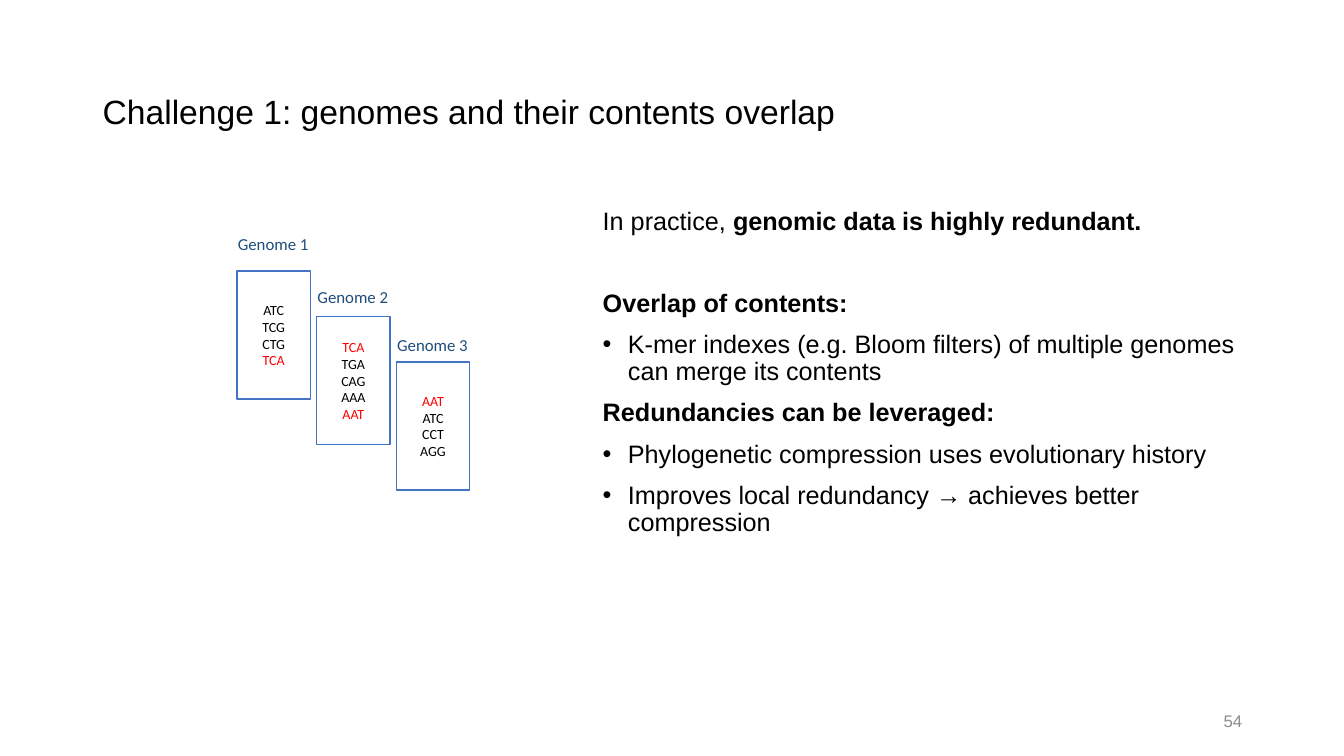
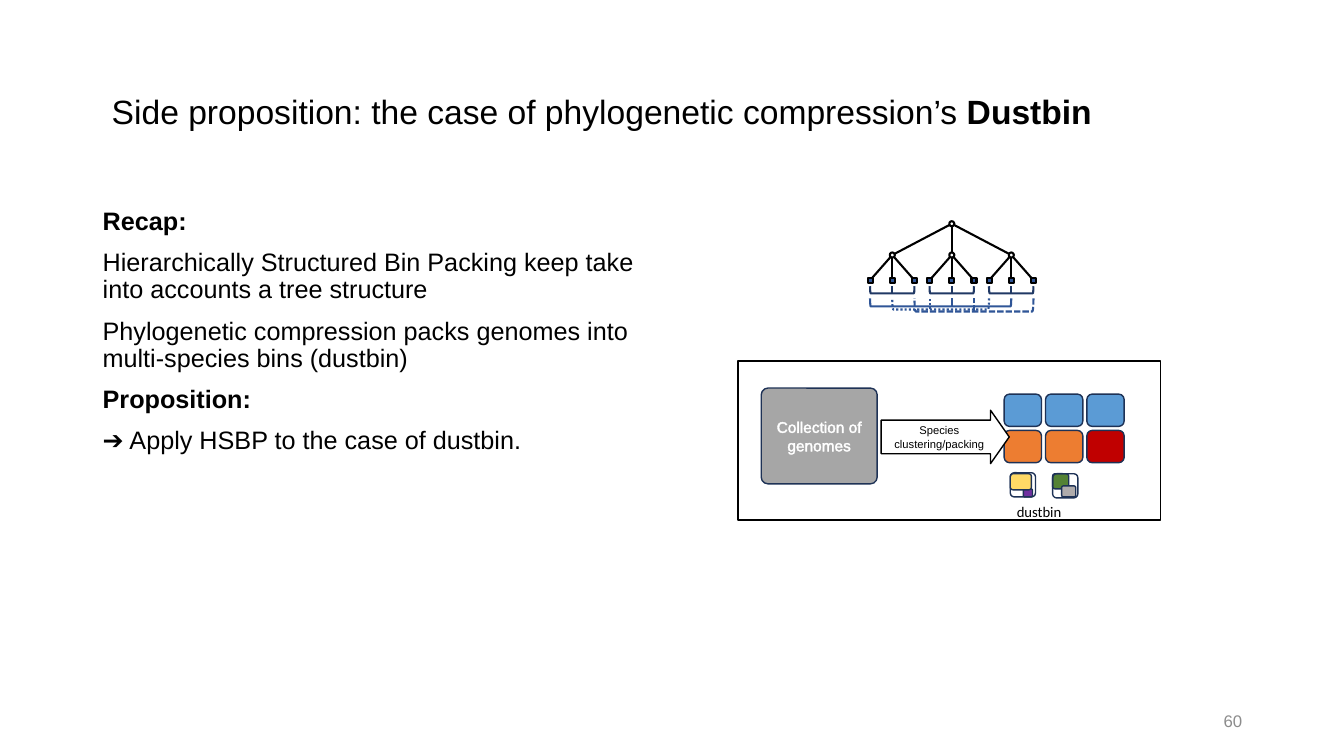
from lxml import etree
from pptx import Presentation
from pptx.dml.color import RGBColor
from pptx.enum.dml import MSO_LINE
from pptx.enum.shapes import MSO_CONNECTOR, MSO_SHAPE
from pptx.enum.text import MSO_ANCHOR, PP_ALIGN
from pptx.oxml.ns import qn
from pptx.util import Inches, Pt

RECT, ROUNDED, ELLIPSE = MSO_SHAPE.RECTANGLE, MSO_SHAPE.ROUNDED_RECTANGLE, MSO_SHAPE.OVAL
ARROW, BRACKET = MSO_SHAPE.RIGHT_ARROW, MSO_SHAPE.LEFT_BRACKET
DOTTED, DASHED = MSO_LINE.ROUND_DOT, MSO_LINE.SQUARE_DOT
LEFT, CENTER, RIGHT = PP_ALIGN.LEFT, PP_ALIGN.CENTER, PP_ALIGN.RIGHT
TOP, MIDDLE = MSO_ANCHOR.TOP, MSO_ANCHOR.MIDDLE


class Theme:
    heading_font, label_font = "Arial", "Calibri"
    title, body, number, genome, kmer = 24, 18, 12, 12, 10
    collection, arrow, dustbin = 11, 8, 10.5
    black, white, grey = "000000", "FFFFFF", "8C8C8C"
    shared, genome_line, genome_label = "FF0000", "4472C4", "1F4E79"
    bin_line, collection_fill = "1E3256", "A6A6A6"
    blue, orange, red = "5B9BD5", "ED7D31", "C00000"
    purple, yellow, green, silver = "7030A0", "FFD966", "548235", "AFABAB"
    leaf, near, far = "2F5597", "203864", "2F5597"
    thin, thick = 1, 1.5


# Text between ** marks is bold. Body rows: style, space before, text.
OVERLAP = {
    "title": "Challenge 1: genomes and their contents overlap",
    "title_left": 0.92,
    "number": "54",
    "body_at": (5.88, 2.02, 6.53, 4.76),
    "body": [
        ("plain", 0, "In practice, **genomic data is highly redundant.**"),
        ("plain", 39, "**Overlap of contents:**"),
        ("bullet", 10, "K-mer indexes (e.g. Bloom filters) of multiple genomes can merge its contents"),
        ("plain", 10, "**Redundancies can be leveraged:**"),
        ("bullet", 10, "Phylogenetic compression uses evolutionary history"),
        ("bullet", 10, "Improves local redundancy → achieves better compression"),
    ],
}
DUSTBIN = {
    "title": "Side proposition: the case of phylogenetic compression’s **Dustbin**",
    "title_left": 1.01,
    "number": "60",
    "body_at": (0.92, 2.02, 5.75, 4.76),
    "body": [
        ("plain", 0, "**Recap:**"),
        ("plain", 10, "Hierarchically Structured Bin Packing keep take into accounts a tree structure"),
        ("plain", 10, "Phylogenetic compression packs genomes into multi-species bins (dustbin)"),
        ("plain", 10, "**Proposition:**"),
        ("plain", 10, "➔ Apply HSBP to the case of dustbin."),
    ],
}
# Name, label top, k-mers
GENOMES = [
    ("Genome 1", 2.27, ["ATC", "TCG", "CTG", "TCA"]),
    ("Genome 2", 2.8, ["TCA", "TGA", "CAG", "AAA", "AAT"]),
    ("Genome 3", 3.27, ["AAT", "ATC", "CCT", "AGG"]),
]
SHARED_KMERS = {"TCA", "AAT"}

SPECIES_BINS = [
    [Theme.blue, Theme.blue, Theme.blue],
    [Theme.orange, Theme.orange, Theme.red],
]
DUSTBIN_PARTS = [
    ((10.15, 4.85, 0.09, 0.08), Theme.purple),
    ((10.02, 4.7, 0.21, 0.16), Theme.yellow),
    ((10.02, 4.69, 0.25, 0.24), None),
    ((10.44, 4.7, 0.16, 0.15), Theme.green),
    ((10.44, 4.7, 0.25, 0.24), None),
    ((10.53, 4.82, 0.14, 0.11), Theme.silver),
]
# First leaf, last leaf, ticked leaf, top, depth, colour, dash
BRACKETS = [
    (0, 2, 1, 2.84, 0.07, Theme.near, None),
    (3, 5, 4, 2.84, 0.07, Theme.near, None),
    (6, 8, 7, 2.84, 0.07, Theme.near, None),
    (0, 7, 4, 2.96, 0.08, Theme.far, None),
    (1, 6, 3, 2.96, 0.11, Theme.far, DOTTED),
    (2, 8, 5, 2.96, 0.13, Theme.far, DASHED),
]


def inches(values):
    return [Inches(value) for value in values]


def style_line(line, colour, width, dash=None):
    line.color.rgb = RGBColor.from_string(colour)
    line.width = Pt(width)
    if dash:
        line.dash_style = dash


def add_span(para, text, size, font, colour, bold=False):
    span = para.add_run()
    span.text = text
    formats = {"size": Pt(size), "name": font, "bold": bold}
    for name, value in formats.items():
        setattr(span.font, name, value)
    span.font.color.rgb = RGBColor.from_string(colour)
    return span


def add_rich_text(para, text, size):
    for index, part in enumerate(text.split("**")):
        if part:
            add_span(para, part, size, Theme.heading_font, Theme.black, index % 2 == 1)


def set_bullet(para):
    properties = para._p.get_or_add_pPr()
    properties.set("marL", str(Inches(0.25)))
    properties.set("indent", str(Inches(-0.25)))
    etree.SubElement(properties, qn("a:buFont")).set("typeface", Theme.heading_font)
    etree.SubElement(properties, qn("a:buChar")).set("char", "•")


def outline_text(span, colour, width):
    outline = etree.Element(qn("a:ln"), w=str(Pt(width)))
    fill = etree.SubElement(outline, qn("a:solidFill"))
    etree.SubElement(fill, qn("a:srgbClr")).set("val", colour)
    span.font._element.insert(0, outline)


def add_box(page, at, anchor=TOP):
    frame = page.shapes.add_textbox(*inches(at)).text_frame
    frame.word_wrap = True
    frame.vertical_anchor = anchor
    return frame


def add_label(page, at, text, size, font, colour, align=CENTER, anchor=TOP):
    para = add_box(page, at, anchor).paragraphs[0]
    para.alignment = align
    add_span(para, text, size, font, colour)


def add_figure(page, kind, at, fill, line, width=Theme.thin, dash=None, adjust=()):
    figure = page.shapes.add_shape(kind, *inches(at))
    figure.shadow.inherit = False
    for index, value in enumerate(adjust):
        figure.adjustments[index] = value
    if fill:
        figure.fill.solid()
        figure.fill.fore_color.rgb = RGBColor.from_string(fill)
    else:
        figure.fill.background()
    style_line(figure.line, line, width, dash)
    return figure


def write_lines(figure, lines, size, font, inset=0.1):
    """Write (text, colour) lines centred in a figure and return their spans."""
    frame = figure.text_frame
    frame.word_wrap = True
    frame.vertical_anchor = MIDDLE
    frame.margin_left = frame.margin_right = Inches(inset)
    spans = []
    for index, (text, colour) in enumerate(lines):
        para = frame.add_paragraph() if index else frame.paragraphs[0]
        para.alignment = CENTER
        spans.append(add_span(para, text, size, font, colour))
    return spans


def add_line(page, start, end, colour, dash=None):
    line = page.shapes.add_connector(MSO_CONNECTOR.STRAIGHT, *inches(start + end))
    style_line(line.line, colour, Theme.thick, dash)
    etree.SubElement(line._element.spPr, qn("a:effectLst"))


def add_page(deck, content):
    """Add a slide with its title, body text and page number."""
    page = deck.slides.add_slide(deck.slide_layouts[6])
    title = add_box(page, (content["title_left"], 0.4, 11.4, 1.45), MIDDLE).paragraphs[0]
    title.line_spacing = 0.9
    add_rich_text(title, content["title"], Theme.title)

    body = add_box(page, content["body_at"])
    for index, (style, space, text) in enumerate(content["body"]):
        para = body.add_paragraph() if index else body.paragraphs[0]
        if style == "bullet":
            set_bullet(para)
        formats = {"line_spacing": 0.9, "space_before": Pt(space), "alignment": LEFT}
        for name, value in formats.items():
            setattr(para, name, value)
        add_rich_text(para, text, Theme.body)

    add_label(page, (9.42, 6.95, 3, 0.4), content["number"], Theme.number,
              Theme.heading_font, Theme.grey, RIGHT, MIDDLE)
    return page


def draw_genomes(page):
    left, top, step_x, step_y = 2.35, 2.69, 0.79, 0.45
    for index, (name, label_top, kmers) in enumerate(GENOMES):
        x = left + index * step_x
        genome = add_figure(page, RECT, (x, top + index * step_y, 0.73, 1.27),
                            Theme.white, Theme.genome_line)
        lines = [(kmer, Theme.shared if kmer in SHARED_KMERS else Theme.black)
                 for kmer in kmers]
        write_lines(genome, lines, Theme.kmer, Theme.label_font)
        add_label(page, (x - 0.17, label_top, 1.06, 0.3), name, Theme.genome,
                  Theme.label_font, Theme.genome_label)


def draw_packing(page):
    add_figure(page, RECT, (7.32, 3.58, 4.19, 1.58), None, Theme.black)
    for row, colours in enumerate(SPECIES_BINS):
        for column, colour in enumerate(colours):
            at = (9.96 + column * 0.41, 3.91 + row * 0.36, 0.37, 0.32)
            add_figure(page, ROUNDED, at, colour, Theme.bin_line)
    for at, colour in DUSTBIN_PARTS:
        add_figure(page, ROUNDED, at, colour, Theme.bin_line)

    collection = add_figure(page, ROUNDED, (7.55, 3.85, 1.15, 0.95),
                            Theme.collection_fill, Theme.bin_line, adjust=[0.07])
    spans = write_lines(collection, [("Collection of genomes", Theme.white)],
                        Theme.collection, Theme.heading_font)
    outline_text(spans[0], Theme.white, 0.75)
    arrow = add_figure(page, ARROW, (8.74, 4.07, 1.27, 0.53), Theme.white,
                       Theme.black, adjust=[0.63, 0.35])
    write_lines(arrow, [("Species clustering/packing", Theme.black)],
                Theme.arrow, Theme.heading_font, inset=0)
    add_label(page, (9.86, 4.94, 0.89, 0.29), "dustbin", Theme.dustbin,
              Theme.label_font, Theme.black)


def draw_tree(page):
    node = 0.05
    root = (9.44, 2.22)
    branches = [(root[0] + step * 0.59, 2.53) for step in (-1, 0, 1)]
    leaves = [(x + step * 0.22, 2.78) for x, _ in branches for step in (-1, 0, 1)]
    edges = [(root, branch) for branch in branches]
    edges += [(branches[index // 3], leaf) for index, leaf in enumerate(leaves)]
    for start, end in edges:
        add_line(page, start, end, Theme.black)

    nodes = [(ELLIPSE, Theme.white, point) for point in [root] + branches]
    nodes += [(RECT, Theme.leaf, point) for point in leaves]
    for kind, fill, (x, y) in nodes:
        add_figure(page, kind, (x - node / 2, y - node / 2, node, node), fill,
                   Theme.black, Theme.thick)

    for first, last, ticked, top, depth, colour, dash in BRACKETS:
        start, end, tick = (leaves[index][0] for index in (first, last, ticked))
        span = end - start
        # The frame is given upright; the turn by 270 degrees opens it upwards.
        at = ((start + end - depth) / 2, top + (depth - span) / 2, depth, span)
        bracket = add_figure(page, BRACKET, at, None, colour, Theme.thick, dash)
        bracket.rotation = 270
        add_line(page, (tick, top + depth), (tick, top), colour, dash)


def main():
    deck = Presentation()
    deck.slide_width, deck.slide_height = inches((13.33, 7.5))
    draw_genomes(add_page(deck, OVERLAP))
    dustbin_page = add_page(deck, DUSTBIN)
    draw_packing(dustbin_page)
    draw_tree(dustbin_page)
    deck.save("out.pptx")


if __name__ == "__main__":
    main()
